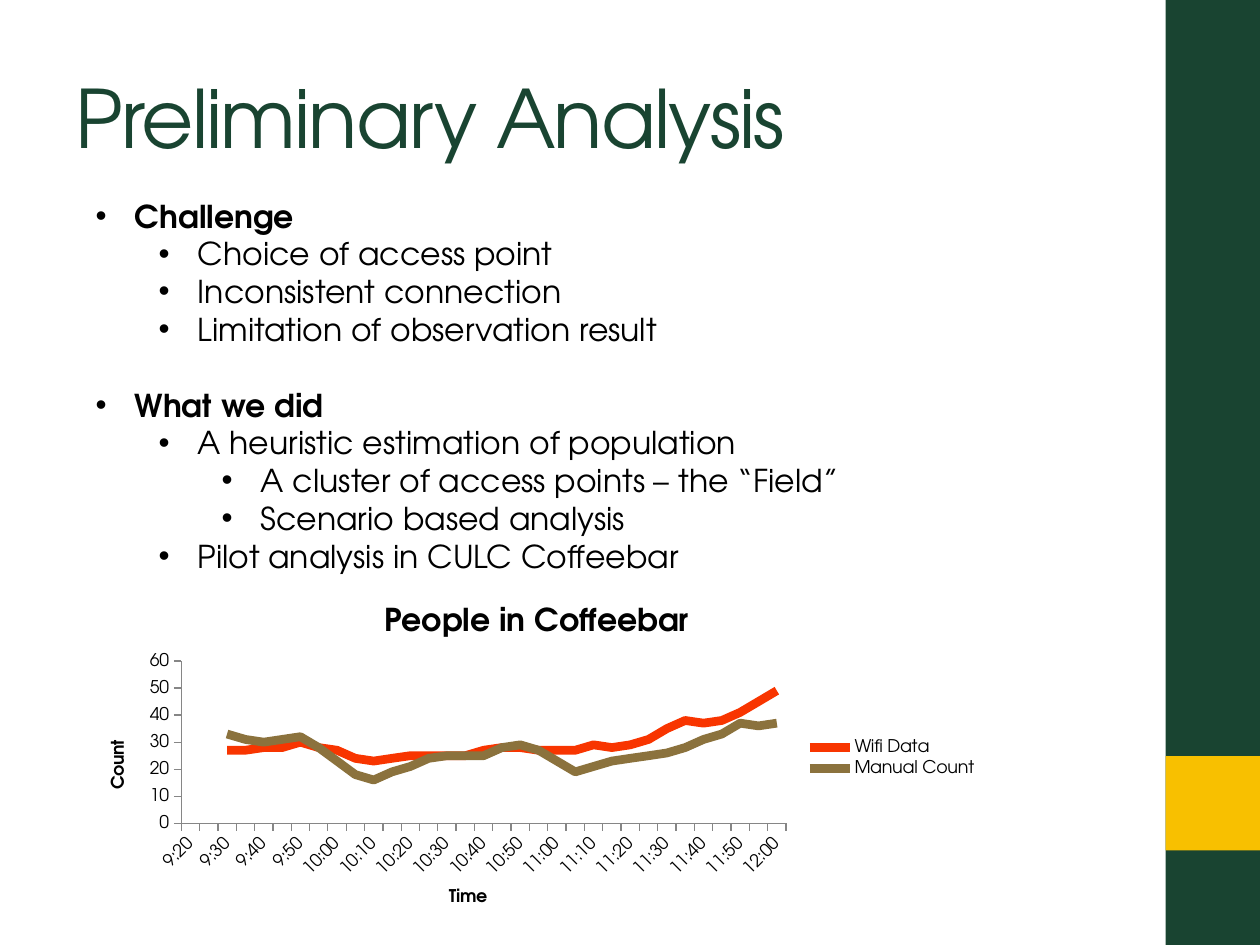
from lxml import etree
from pptx import Presentation
from pptx.chart.data import CategoryChartData
from pptx.dml.color import RGBColor
from pptx.enum.chart import XL_CHART_TYPE, XL_LEGEND_POSITION, XL_TICK_MARK
from pptx.enum.shapes import MSO_SHAPE
from pptx.enum.text import MSO_ANCHOR, MSO_AUTO_SIZE, PP_ALIGN
from pptx.oxml.ns import qn
from pptx.util import Inches, Pt

FONT = "TeX Gyre Adventor"
COLORS = {"green": "194431", "gold": "F8C000", "text": "000000",
          "axis": "868686", "wifi": "F83500", "manual": "8B723D"}

# (level, text); level 0 is a bold heading
BULLETS = [
    (0, "Challenge"),
    (1, "Choice of access point"),
    (1, "Inconsistent connection"),
    (1, "Limitation of observation result"),
    (0, "What we did"),
    (1, "A heuristic estimation of population"),
    (2, "A cluster of access points – the “Field”"),
    (2, "Scenario based analysis"),
    (1, "Pilot analysis in CULC Coffeebar"),
]

# Counts every five minutes from 9:20 to 12:00
TIMES = [f"{m // 60}:{m % 60:02d}" for m in range(9 * 60 + 20, 12 * 60 + 1, 5)]
SERIES = [
    ("Wifi Data", "wifi",
     [None, None, 27, 27, 28, 28, 30, 28, 27, 24, 23, 24, 25, 25, 25, 25, 27,
      28, 28, 27, 27, 27, 29, 28, 29, 31, 35, 38, 37, 38, 41, 45, 49]),
    ("Manual Count", "manual",
     [None, None, 33, 31, 30, 31, 32, 28, 23, 18, 16, 19, 21, 24, 25, 25, 25,
      28, 29, 27, 23, 19, 21, 23, 24, 25, 26, 28, 31, 33, 37, 36, 37]),
]


def color(name):
    return RGBColor.from_string(COLORS[name])


def place(sp, left, top, width, height):
    sp.left, sp.top = Inches(left), Inches(top)
    sp.width, sp.height = Inches(width), Inches(height)


def set_font(font, size, name="text", bold=False):
    font.name, font.size, font.bold = FONT, Pt(size), bold
    font.color.rgb = color(name)


def add_band(slide, top, height, name):
    sp = slide.shapes.add_shape(MSO_SHAPE.RECTANGLE, Inches(9.25), Inches(top),
                                Inches(0.75), Inches(height))
    sp.shadow.inherit = False
    sp.fill.solid()
    sp.fill.fore_color.rgb = color(name)
    sp.line.fill.background()


def fill_title(sp, text):
    place(sp, 0.5, 0.3, 8.33, 1.25)
    tf = sp.text_frame
    tf.text = text
    tf.vertical_anchor = MSO_ANCHOR.MIDDLE
    p = tf.paragraphs[0]
    p.alignment = PP_ALIGN.LEFT
    set_font(p.font, 46, "green")
    p.runs[0].font._element.set("spc", "-100")


def fill_bullets(sp, items):
    place(sp, 0.66, 1.51, 6.86, 3.13)
    tf = sp.text_frame
    tf.auto_size = MSO_AUTO_SIZE.NONE
    tf.vertical_anchor = MSO_ANCHOR.TOP
    for i, (level, text) in enumerate(items):
        p = tf.paragraphs[0] if i == 0 else tf.add_paragraph()
        p.text, p.level = text, level
        # A heading after the first is set off by one line
        p.space_before = Pt(21.6 if i and level == 0 else 0)
        set_font(p.font, 18, bold=level == 0)
        pPr = p._p.get_or_add_pPr()
        pPr.set("marL", str(Inches(0.31 + 0.5 * level)))
        pPr.set("indent", str(Inches(-0.31)))
        bullet_font = etree.Element(qn("a:buFont"), typeface="Arial")
        bullet = etree.Element(qn("a:buChar"), char="•")
        default_run = pPr.find(qn("a:defRPr"))
        default_run.addprevious(bullet_font)
        default_run.addprevious(bullet)


def style_axis(axis, title):
    axis.has_major_gridlines = False
    axis.major_tick_mark = XL_TICK_MARK.OUTSIDE
    axis.minor_tick_mark = XL_TICK_MARK.NONE
    axis.format.line.color.rgb = color("axis")
    set_font(axis.tick_labels.font, 10)
    tf = axis.axis_title.text_frame
    tf.text = title
    set_font(tf.paragraphs[0].font, 10, bold=True)


def add_count_chart(slide):
    data = CategoryChartData()
    data.categories = TIMES
    for name, _, values in SERIES:
        data.add_series(name, values)
    chart = slide.shapes.add_chart(
        XL_CHART_TYPE.LINE, Inches(0.66), Inches(4.64), Inches(7.2),
        Inches(2.75), data).chart
    set_font(chart.font, 10)

    # Title and legend
    chart.has_title = True
    tf = chart.chart_title.text_frame
    tf.text = "People in Coffeebar"
    set_font(tf.paragraphs[0].font, 18, bold=True)
    chart.has_legend = True
    chart.legend.position = XL_LEGEND_POSITION.RIGHT
    chart.legend.include_in_layout = False
    set_font(chart.legend.font, 10)

    # Axes: every second time is labelled, at a slant
    style_axis(chart.category_axis, "Time")
    style_axis(chart.value_axis, "Count")
    chart.value_axis.minimum_scale = 0
    chart.value_axis.maximum_scale = 60
    chart.value_axis.major_unit = 10
    cat_ax = chart.category_axis._element
    cat_ax.find(qn("c:txPr")).find(qn("a:bodyPr")).set("rot", "-2700000")
    skip = etree.Element(qn("c:tickLblSkip"), val="2")
    cat_ax.find(qn("c:noMultiLvlLbl")).addprevious(skip)

    # Lines
    plot = chart.plots[0]
    plot.vary_by_categories = False
    for series, (_, name, _) in zip(plot.series, SERIES):
        series.smooth = False
        series.format.line.width = Pt(5)
        series.format.line.color.rgb = color(name)


def main():
    prs = Presentation()
    prs.slide_width, prs.slide_height = Inches(10), Inches(7.5)
    slide = prs.slides.add_slide(prs.slide_layouts[1])
    add_band(slide, 0, 7.5, "green")
    add_band(slide, 6, 0.75, "gold")
    fill_title(slide.shapes.title, "Preliminary Analysis")
    add_count_chart(slide)
    fill_bullets(slide.placeholders[1], BULLETS)
    prs.save("out.pptx")


main()
